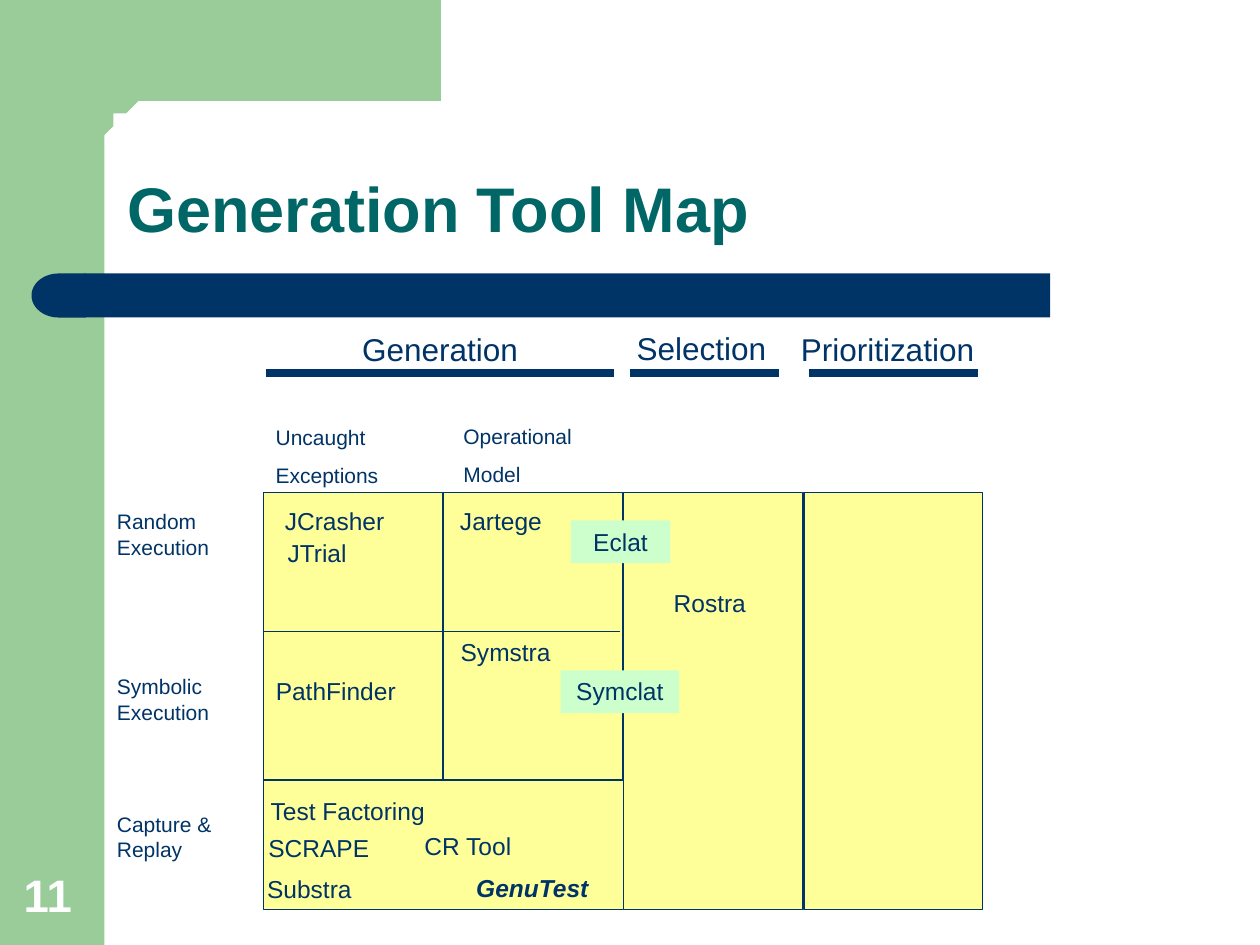
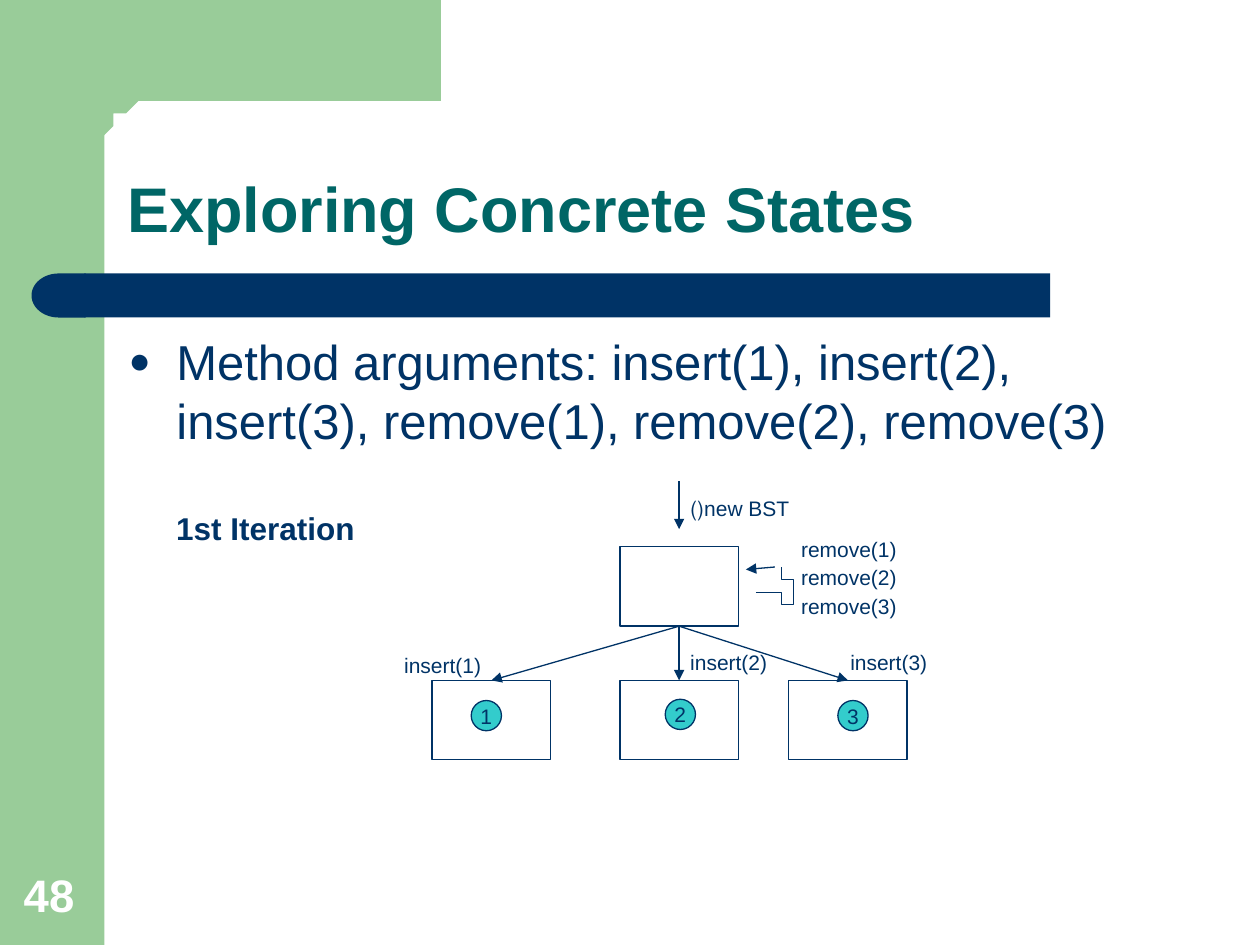
from typing import NamedTuple, Optional

from lxml.etree import SubElement
from pptx import Presentation
from pptx.dml.color import RGBColor
from pptx.enum.shapes import MSO_CONNECTOR, MSO_SHAPE
from pptx.enum.text import MSO_ANCHOR, MSO_AUTO_SIZE, PP_ALIGN
from pptx.oxml.ns import qn
from pptx.util import Inches, Pt

# Slide grid: 100 columns by 75 rows of square cells
SLIDE_WIDTH = Inches(10)
SLIDE_HEIGHT = Inches(7.5)
CELL = SLIDE_WIDTH / 100

FONT = "Arial"
GREEN = RGBColor(0x99, 0xCC, 0x99)
NAVY = RGBColor(0x00, 0x33, 0x66)
TEAL = RGBColor(0x00, 0x66, 0x66)
YELLOW = RGBColor(0xFF, 0xFF, 0x99)
MINT = RGBColor(0xCC, 0xFF, 0xCC)
AQUA = RGBColor(0x33, 0xCC, 0xCC)
WHITE = RGBColor(0xFF, 0xFF, 0xFF)

LEFT, CENTER, RIGHT = PP_ALIGN.LEFT, PP_ALIGN.CENTER, PP_ALIGN.RIGHT
LABEL_HEIGHTS = {12: 3, 14: 3.4, 18: 4}
BOTTOM_SITE, TOP_SITE = 2, 0


class Area(NamedTuple):
    """A rectangle in grid cells."""
    left: float
    top: float
    width: float
    height: float

    def lengths(self) -> list[int]:
        return [cells(value) for value in self]


class Style(NamedTuple):
    size: float
    color: RGBColor = NAVY
    bold: bool = False
    italic: bool = False
    align: PP_ALIGN = LEFT


class Label(NamedTuple):
    text: str
    left: float
    top: float
    width: float
    style: Style


Point = tuple[float, float]

TITLE = Style(36, TEAL, bold=True)
NUMBER = Style(26, WHITE, bold=True)
BODY = Style(28)
HEADING = Style(18, align=RIGHT)
ITERATION = Style(18, bold=True)
SMALL = Style(12)
STATE = Style(12, align=CENTER)
TOOL = Style(14)
TOOL_RIGHT = Style(14, align=RIGHT)
TOOL_CENTER = Style(14, align=CENTER)
OWN_TOOL = Style(14, bold=True, italic=True, align=RIGHT)


def cells(count: float) -> int:
    return round(count * CELL)


# Text
def write(frame, text: str, style: Style, anchor=MSO_ANCHOR.TOP) -> None:
    """Fill a text frame, one paragraph for each line of text."""
    frame.word_wrap = True
    frame.auto_size = MSO_AUTO_SIZE.NONE
    frame.vertical_anchor = anchor
    for index, line in enumerate(text.split("\n")):
        para = frame.add_paragraph() if index else frame.paragraphs[0]
        para.alignment = style.align
        para.space_before = Pt(style.size * 0.625 if index else 0)
        span = para.add_run()
        span.text = line
        span.font.name = FONT
        span.font.size = Pt(style.size)
        span.font.bold = style.bold
        span.font.italic = style.italic
        span.font.color.rgb = style.color


def add_text(page, area: Area, text: str, style: Style, anchor=MSO_ANCHOR.TOP):
    box = page.shapes.add_textbox(*area.lengths())
    write(box.text_frame, text, style, anchor)
    return box


def add_label(page, label: Label):
    area = Area(label.left, label.top, label.width, LABEL_HEIGHTS[label.style.size])
    return add_text(page, area, label.text, label.style)


def place(holder, area: Area) -> None:
    holder.left, holder.top, holder.width, holder.height = area.lengths()


# Shapes and lines
def paint(shape, fill: Optional[RGBColor], outlined: bool) -> None:
    shape.shadow.inherit = False
    if fill is None:
        shape.fill.background()
    else:
        shape.fill.solid()
        shape.fill.fore_color.rgb = fill
    if outlined:
        shape.line.color.rgb = NAVY
        shape.line.width = Pt(0.75)
    else:
        shape.line.fill.background()


def add_box(page, area: Area, fill: Optional[RGBColor] = None, outlined: bool = False,
            kind=MSO_SHAPE.RECTANGLE):
    box = page.shapes.add_shape(kind, *area.lengths())
    paint(box, fill, outlined)
    return box


def add_line(page, start: Point, end: Point, width: float = 0.75, arrow: bool = False):
    line = page.shapes.add_connector(
        MSO_CONNECTOR.STRAIGHT, *(cells(value) for value in start + end))
    line.line.color.rgb = NAVY
    line.line.width = Pt(width)
    properties = line._element.spPr
    if arrow:
        SubElement(properties.find(qn("a:ln")), qn("a:tailEnd"), type="triangle")
    SubElement(properties, qn("a:effectLst"))
    return line


def curve(start: Point, first: Point, second: Point, end: Point) -> list[Point]:
    """Points along a cubic curve, both ends included."""
    steps = 12
    points = []
    for step in range(steps + 1):
        t = step / steps
        weights = ((1 - t) ** 3, 3 * t * (1 - t) ** 2, 3 * t * t * (1 - t), t ** 3)
        controls = (start, first, second, end)
        points.append((sum(w * p[0] for w, p in zip(weights, controls)),
                       sum(w * p[1] for w, p in zip(weights, controls))))
    return points


def add_outline(page, points: list[Point], closed: bool, fill: Optional[RGBColor] = None):
    builder = page.shapes.build_freeform(*points[0], scale=CELL)
    builder.add_line_segments(points[1:], close=closed)
    paint(builder.convert_to_shape(), fill, outlined=not closed)


# What every slide shares
def add_page(deck, layout: int, title: str, number: int):
    page = deck.slides.add_slide(deck.slide_layouts[layout])
    add_box(page, Area(0, 0, 8.3, 75), GREEN)
    corner = curve((11.6, 8.3), (9.8, 8.3), (8.3, 9.8), (8.3, 11.6))
    add_outline(page, [(5, 0), (35, 0), (35, 8.3), *corner, (8.3, 12.8), (5, 12.8)],
                True, GREEN)
    add_box(page, Area(6.7, 21.7, 76.65, 3.5), NAVY)
    add_box(page, Area(2.5, 21.7, 4.3, 3.5), NAVY, kind=MSO_SHAPE.FLOWCHART_DELAY).rotation = 180

    place(page.shapes.title, Area(9.1, 9.1, 85.1, 10.9))
    write(page.shapes.title.text_frame, title, TITLE, MSO_ANCHOR.BOTTOM)
    page.shapes.title.text_frame.paragraphs[0].line_spacing = 0.9
    add_text(page, Area(0.9, 68.3, 6.4, 5.3), str(number), NUMBER, MSO_ANCHOR.BOTTOM)
    return page


# Slide: tool map
MAP_LEFT, MAP_TOP, MAP_STEP, COLUMN_WIDTH = 20.9, 39.1, 14.3, 14.2
UPPER_HEIGHT, FULL_HEIGHT = 22.8, 33.1
COLUMN_HEIGHTS = [UPPER_HEIGHT, UPPER_HEIGHT, FULL_HEIGHT, FULL_HEIGHT]

MAP_LABELS = [
    Label("Generation", 17.7, 25.7, 24.4, HEADING),
    Label("Selection", 37.4, 25.6, 24.4, HEADING),
    Label("Prioritization", 53.9, 25.7, 24.4, HEADING),
    Label("Uncaught\nExceptions", 20.9, 33.2, 15.7, SMALL),
    Label("Operational\nModel", 35.8, 33.1, 15.7, SMALL),
    Label("Random Execution", 8.3, 39.9, 14.2, SMALL),
    Label("Symbolic Execution", 8.3, 53, 14.2, SMALL),
    Label("Capture & Replay", 8.3, 63.9, 14.2, SMALL),
    Label("JCrasher", 18.9, 39.7, 12.6, TOOL_RIGHT),
    Label("JTrial", 19.5, 42.2, 9, TOOL_RIGHT),
    Label("Jartege", 31.4, 39.7, 12.6, TOOL_RIGHT),
    Label("Rostra", 47.6, 46.2, 12.6, TOOL_RIGHT),
    Label("Symstra", 32.1, 50.1, 12.6, TOOL_RIGHT),
    Label("PathFinder", 20.9, 53.2, 14.9, TOOL),
    Label("Test Factoring", 20.5, 62.7, 25.2, TOOL),
    Label("SCRAPE", 17.7, 65.6, 12.6, TOOL_RIGHT),
    Label("CR Tool", 32.7, 65.5, 11, TOOL),
    Label("Substra", 18.7, 68.9, 10.2, TOOL_RIGHT),
    Label("GenuTest", 34.3, 68.8, 13.4, OWN_TOOL),
]
HEADING_RULES = [(21.1, 48.7), (50, 61.8), (64.2, 77.6)]
BRIDGING_TOOLS = [("Eclat", Area(45.3, 41.3, 7.9, 3.4)),
                  ("Symclat", Area(44.5, 53.2, 9.4, 3.4))]


def build_tool_map(deck) -> None:
    page = add_page(deck, 5, "Generation Tool Map", 11)
    for index, height in enumerate(COLUMN_HEIGHTS):
        add_box(page, Area(MAP_LEFT + index * MAP_STEP, MAP_TOP, COLUMN_WIDTH, height),
                YELLOW, outlined=True)
    add_box(page, Area(MAP_LEFT, MAP_TOP + UPPER_HEIGHT, 2 * MAP_STEP,
                       FULL_HEIGHT - UPPER_HEIGHT), YELLOW, outlined=True)
    add_line(page, (MAP_LEFT, 50.1), (49.2, 50.1))
    for start, end in HEADING_RULES:
        add_line(page, (start, 29.6), (end, 29.6), width=4.5)
    for name, area in BRIDGING_TOOLS:
        write(add_box(page, area, MINT).text_frame, name, TOOL_CENTER)
    for label in MAP_LABELS:
        add_label(page, label)


# Slide: state exploration
STATE_WIDTH, STATE_HEIGHT, CIRCLE = 9.4, 6.3, 2.4
ROOT_LEFT, ROOT_TOP, CHILD_TOP = 49.2, 43.4, 54
CHILDREN = [(34.3, 37.4, 55.6), (49.2, 52.8, 55.5), (62.6, 66.5, 55.6)]

STATE_LABELS = [
    Label("1st Iteration", 13, 39.9, 18.9, ITERATION),
    Label("insert(1)", 31.1, 51.3, 12.6, SMALL),
    Label("insert(2)", 53.8, 51.1, 12.6, SMALL),
    Label("insert(3)", 66.5, 51.1, 12.6, SMALL),
    *(Label(f"remove({number})", 62.6, 39.8 + 2.27 * number, 12.6, SMALL)
      for number in (1, 2, 3)),
]


def add_bullet(para) -> None:
    properties = para._p.get_or_add_pPr()
    indent = cells(3.8)
    properties.set("marL", str(indent))
    properties.set("indent", str(-indent))
    color = SubElement(properties, qn("a:buClr"))
    SubElement(color, qn("a:srgbClr"), val=str(NAVY))
    SubElement(properties, qn("a:buSzPct"), val="75000")
    SubElement(properties, qn("a:buFont"), typeface=FONT)
    SubElement(properties, qn("a:buChar"), char="●")


def build_states(deck) -> None:
    page = add_page(deck, 1, "Exploring Concrete States", 48)
    body = page.placeholders[1]
    place(body, Area(9.2, 25.8, 84.1, 40.7))
    add_bullet(body.text_frame.paragraphs[0])
    write(body.text_frame, "Method arguments: insert(1), insert(2), insert(3), "
          "remove(1), remove(2), remove(3)", BODY)

    # Root state, its constructor and its self loop
    middle = ROOT_LEFT + STATE_WIDTH / 2
    add_line(page, (middle, 38.2), (middle, 42), arrow=True)
    constructor = add_label(page, Label("new BST()", 53.8, 38.8, 12.6, SMALL))
    constructor.text_frame.paragraphs[0]._p.get_or_add_pPr().set("rtl", "1")
    root = add_box(page, Area(ROOT_LEFT, ROOT_TOP, STATE_WIDTH, STATE_HEIGHT), outlined=True)
    loop = (curve((60.1, 47.2), (60.6, 47.2), (62.4, 47.7), (62.8, 47.5))
            + curve((62.8, 47.5), (63.2, 47.3), (62.8, 46.3), (62.6, 45.9))[1:]
            + curve((62.6, 45.9), (62.4, 45.4), (61.8, 45.2), (61.5, 45))[1:])
    add_outline(page, loop, closed=False)
    add_line(page, loop[-1], (59.2, 45.2), arrow=True)

    # Child states
    for number, (left, circle_left, circle_top) in enumerate(CHILDREN, start=1):
        child = add_box(page, Area(left, CHILD_TOP, STATE_WIDTH, STATE_HEIGHT), outlined=True)
        link = add_line(page, (middle, ROOT_TOP + STATE_HEIGHT),
                        (left + STATE_WIDTH / 2, CHILD_TOP), arrow=True)
        link.begin_connect(root, BOTTOM_SITE)
        link.end_connect(child, TOP_SITE)
        circle = add_box(page, Area(circle_left, circle_top, CIRCLE, CIRCLE), AQUA, True,
                         MSO_SHAPE.OVAL)
        write(circle.text_frame, str(number), STATE, MSO_ANCHOR.MIDDLE)
        circle.text_frame.word_wrap = False
    for label in STATE_LABELS:
        add_label(page, label)


def main() -> None:
    deck = Presentation()
    deck.slide_width, deck.slide_height = SLIDE_WIDTH, SLIDE_HEIGHT
    build_tool_map(deck)
    build_states(deck)
    deck.save("out.pptx")


if __name__ == "__main__":
    main()
